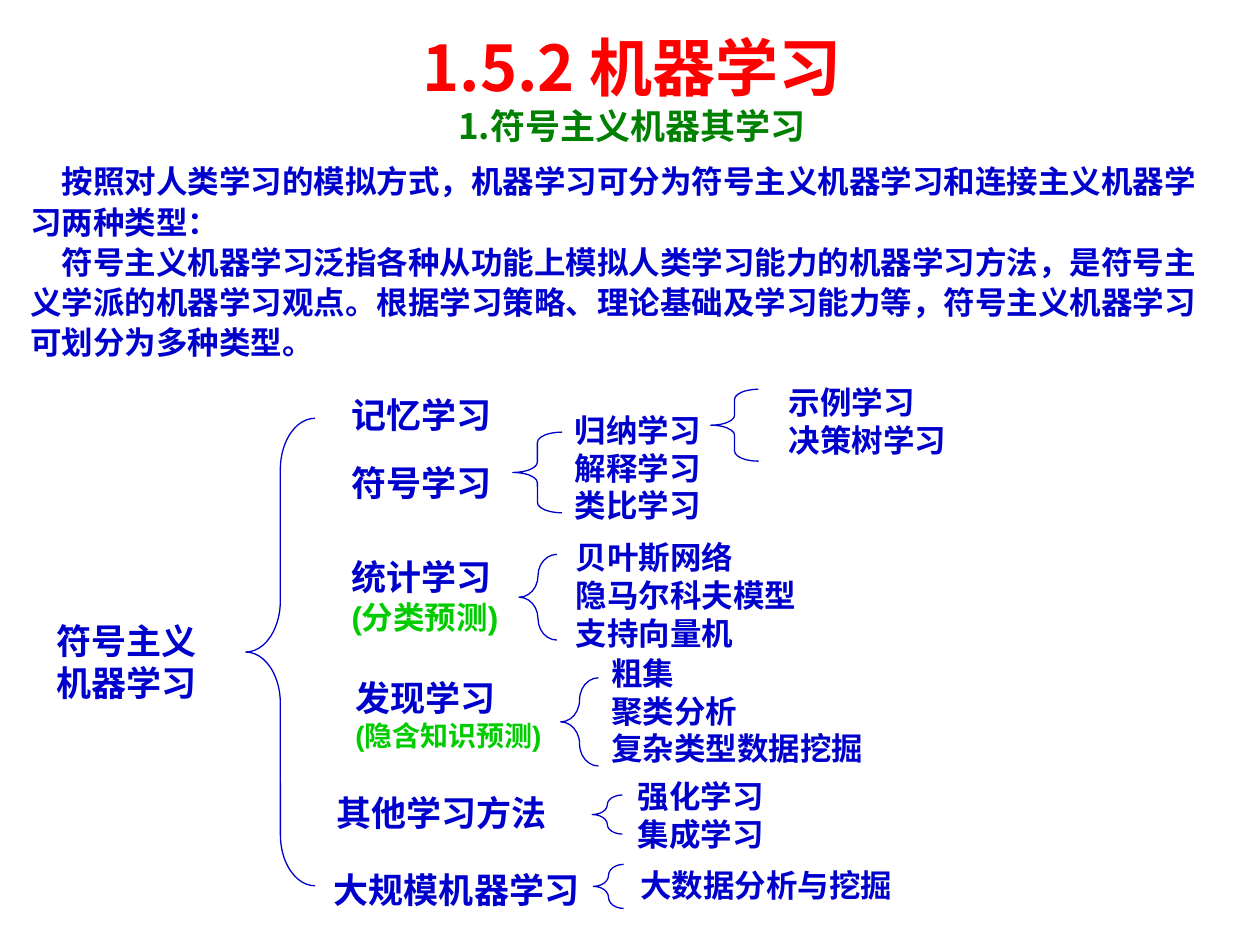
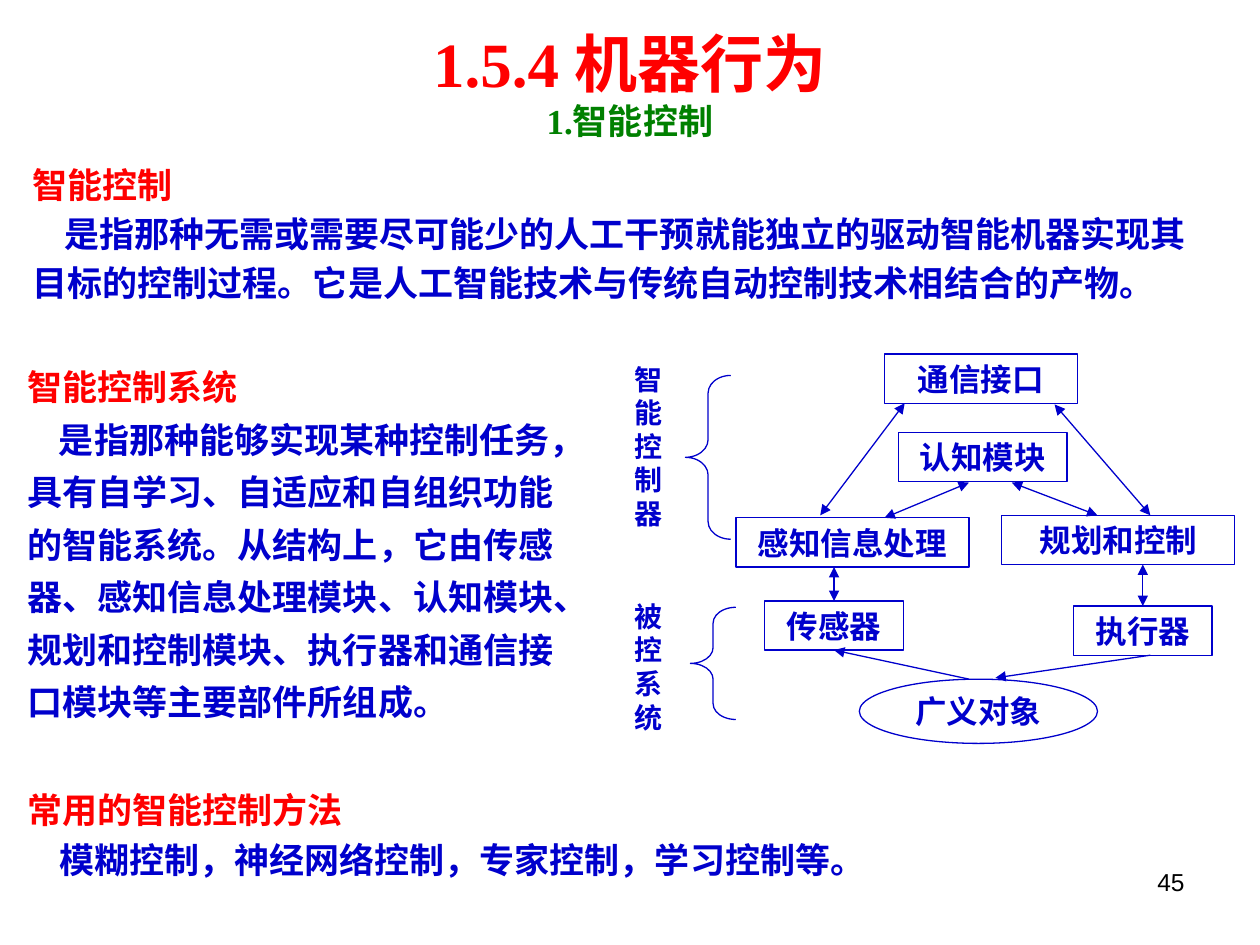
import pptx
import pptx.dml.color
import pptx.enum.shapes
import pptx.enum.text
import pptx.oxml
import pptx.oxml.ns
import pptx.util
from pptx.util import Inches

COLORS = {
    "blue": "0000CC",
    "red": "FF0000",
    "green": "008000",
    "lime": "00CC00",
    "black": "000000",
    "white": "FFFFFF",
}
CJK = "Noto Sans CJK SC"
ARIAL = "Arial"
TIMES = "Times New Roman"
SHAPE = pptx.enum.shapes.MSO_SHAPE
ALIGN = pptx.enum.text.PP_ALIGN
ANCHOR = pptx.enum.text.MSO_ANCHOR
LINE_WIDTH = pptx.util.Pt(0.75)
FIRST_INDENT = 0.25


def rgb(name):
    return pptx.dml.color.RGBColor.from_string(COLORS[name])


def sub_element(parent, tag, **attributes):
    child = pptx.oxml.ns.qn(tag)
    element = parent.makeelement(child, attributes)
    parent.append(element)


def write(tf, lines, font, align=ALIGN.LEFT, leading=None):
    for i, (text, size, color) in enumerate(lines):
        p = tf.paragraphs[0] if i == 0 else tf.add_paragraph()
        p.text = text
        p.alignment = align
        p.line_spacing = pptx.util.Pt(leading or size * 1.2)
        for r in p.runs:
            r.font.name = font
            r.font.size = pptx.util.Pt(size)
            r.font.bold = True
            r.font.color.rgb = rgb(color)
            sub_element(r.font._element, "a:ea", typeface=CJK)


def add_text(s, box, lines, font, align=ALIGN.LEFT, leading=None):
    tf = s.shapes.add_textbox(*map(Inches, box)).text_frame
    tf.word_wrap = True
    write(tf, lines, font, align, leading)
    return tf


def add_header(s, box, title, subtitle, font):
    lines = [(title, 36, "red"), (subtitle, 20, "green")]
    return add_text(s, box, lines, font, ALIGN.CENTER)


def add_body(s, box, paragraphs, size, font, leading, heading=None):
    lines = [(heading, 20, "red")] if heading else []
    lines += [(text, size, "blue") for text in paragraphs]
    tf = add_text(s, box, lines, font, leading=leading)
    for p in tf.paragraphs[1 if heading else 0:]:
        p._p.get_or_add_pPr().set("indent", str(Inches(FIRST_INDENT)))


def add_label(s, box, lines, font):
    tf = add_text(s, box, lines, font)
    tf.margin_left = tf.margin_right = Inches(0.02)
    tf.margin_top = tf.margin_bottom = Inches(0.01)


def add_branch(s, box, name, note=None, note_size=18):
    lines = [(name, 20, "blue")]
    if note:
        lines.append((note, note_size, "lime"))
    add_label(s, box, lines, ARIAL)


def add_leaves(s, box, names):
    add_label(s, box, [(name, 18, "blue") for name in names], CJK)


def add_brace(s, box, curve):
    sp = s.shapes.add_shape(SHAPE.LEFT_BRACE, *map(Inches, box))
    sp.shadow.inherit = False
    sp.adjustments[0] = curve
    sp.adjustments[1] = 0.5
    sp.fill.background()
    sp.line.color.rgb = rgb("blue")
    sp.line.width = LINE_WIDTH


def add_node(s, box, names, size=18, kind=SHAPE.RECTANGLE, outlined=True):
    sp = s.shapes.add_shape(kind, *map(Inches, box))
    sp.shadow.inherit = False
    sp.fill.solid()
    sp.fill.fore_color.rgb = rgb("white")
    if outlined:
        sp.line.color.rgb = rgb("blue")
        sp.line.width = LINE_WIDTH
    else:
        sp.line.fill.background()
    tf = sp.text_frame
    tf.word_wrap = False
    tf.vertical_anchor = ANCHOR.MIDDLE
    write(tf, [(name, size, "blue") for name in names], ARIAL, ALIGN.CENTER)
    return sp


def add_arrow(s, start, end, both=True):
    c = s.shapes.add_connector(
        pptx.enum.shapes.MSO_CONNECTOR.STRAIGHT, *map(Inches, start + end))
    c.line.color.rgb = rgb("blue")
    c.line.width = LINE_WIDTH
    ln = c.line._get_or_add_ln()
    if both:
        sub_element(ln, "a:headEnd", type="triangle")
    sub_element(ln, "a:tailEnd", type="triangle")
    sub_element(c._element.spPr, "a:effectLst")
    return c


def add_machine_learning(prs):
    s = prs.slides.add_slide(prs.slide_layouts[6])
    add_body(s, (0.14, 1.22, 9.49, 1.68), [
        "按照对人类学习的模拟方式，机器学习可分为符号主义机器学习和连接主义机器学习两种类型：",
        "符号主义机器学习泛指各种从功能上模拟人类学习能力的机器学习方法，是符号主义学派的机器学习观点。"
        "根据学习策略、理论基础及学习能力等，符号主义机器学习可划分为多种类型。",
    ], 18, CJK, 23)
    add_header(s, (0.21, 0.18, 9.61, 1.04), "1.5.2 机器学习", "1.符号主义机器其学习", CJK)

    add_label(s, (0.43, 4.91, 1.49, 0.75),
              [("符号主义", 20, "blue"), ("机器学习", 20, "blue")], ARIAL)
    for branch in [
        ((2.77, 3.11, 1.58, 0.39), "记忆学习"),
        ((2.77, 3.65, 1.58, 0.39), "符号学习"),
        ((2.77, 4.4, 1.7, 0.71), "统计学习", "(分类预测)"),
        ((2.8, 5.36, 1.9, 0.68), "发现学习", "(隐含知识预测)", 16),
        ((2.65, 6.27, 1.94, 0.39), "其他学习方法"),
        ((2.63, 6.88, 2.1, 0.39), "大规模机器学习"),
    ]:
        add_branch(s, *branch)
    for box, names in [
        ((4.54, 3.25, 1.51, 0.35), ["归纳学习"]),
        ((4.54, 3.55, 1.7, 0.68), ["解释学习", "类比学习"]),
        ((6.24, 3.03, 2, 0.68), ["示例学习", "决策树学习"]),
        ((4.55, 4.26, 2.59, 1), ["贝叶斯网络", "隐马尔科夫模型", "支持向量机"]),
        ((4.83, 5.18, 2.42, 1), ["粗集", "聚类分析", "复杂类型数据挖掘"]),
        ((5.04, 6.16, 1.58, 0.68), ["强化学习", "集成学习"]),
        ((5.06, 6.86, 3.62, 0.35), ["大数据分析与挖掘"]),
    ]:
        add_leaves(s, box, names)
    for box, curve in [
        ((1.95, 3.32, 0.55, 3.71), 0.74),
        ((4.07, 3.43, 0.39, 0.64), 0.21),
        ((5.64, 3.09, 0.38, 0.57), 0.21),
        ((4.12, 4.4, 0.3, 0.68), 0.64),
        ((4.45, 5.38, 0.3, 0.7), 0.66),
        ((4.7, 6.31, 0.24, 0.31), 0.36),
        ((4.71, 6.86, 0.24, 0.35), 0.41),
    ]:
        add_brace(s, box, curve)


def add_control_diagram(s):
    add_node(s, (7.02, 2.81, 1.53, 0.39), ["通信接口"])
    add_node(s, (7.13, 3.43, 1.34, 0.39), ["认知模块"])
    add_node(s, (5.84, 4.11, 1.85, 0.39), ["感知信息处理"])
    add_node(s, (7.95, 4.09, 1.85, 0.39), ["规划和控制"])
    sensor = add_node(s, (6.07, 4.77, 1.1, 0.39), ["传感器"])
    actuator = add_node(s, (8.52, 4.81, 1.1, 0.39), ["执行器"])
    add_node(s, (6.82, 5.39, 1.89, 0.51), ["广义对象"], kind=SHAPE.OVAL)

    for start, end in [
        ((7.18, 3.2), (6.51, 4.09)),
        ((7.69, 3.83), (7.02, 4.11)),
        ((8.37, 3.21), (9.13, 4.09)),
        ((8.03, 3.83), (8.71, 4.09)),
    ]:
        add_arrow(s, start, end)
    add_arrow(s, (6.62, 4.5), (6.62, 4.77)).end_connect(sensor, 0)
    add_arrow(s, (9.07, 4.48), (9.07, 4.81)).end_connect(actuator, 0)
    add_arrow(s, (7.69, 5.39), (6.62, 5.16), both=False).end_connect(sensor, 2)
    add_arrow(s, (9.13, 5.2), (7.9, 5.38), both=False)

    for top, name in [(2.77, "智能控制器"), (4.52, "被控系统")]:
        add_node(s, (4.85, top, 0.59, 1.54), name, size=16, outlined=False)
    add_brace(s, (5.44, 2.98, 0.36, 1.3), 0.39)
    add_brace(s, (5.48, 4.82, 0.36, 0.89), 0.35)


def add_machine_behavior(prs):
    s = prs.slides.add_slide(prs.slide_layouts[6])
    tf = add_text(s, (7.17, 6.83, 2.33, 0.52), [("45", 14, "black")], ARIAL, ALIGN.RIGHT)
    tf.paragraphs[0].runs[0].font.bold = False
    tf = add_header(s, (0.33, 0.09, 9.34, 1.14), "1.5.4 机器行为", "1.智能控制", TIMES)
    tf.vertical_anchor = ANCHOR.MIDDLE
    for box, leading, heading, text in [
        ((0.16, 1.19, 9.61, 1.24), 28, "智能控制",
         "是指那种无需或需要尽可能少的人工干预就能独立的驱动智能机器实现其目标的控制过程。"
         "它是人工智能技术与传统自动控制技术相结合的产物。"),
        ((0.12, 2.77, 4.53, 3.05), 30, "智能控制系统",
         "是指那种能够实现某种控制任务，具有自学习、自适应和自组织功能的智能系统。"
         "从结构上，它由传感器、感知信息处理模块、认知模块、规划和控制模块、"
         "执行器和通信接口模块等主要部件所组成。"),
        ((0.12, 6.15, 9.69, 0.88), 28.5, "常用的智能控制方法",
         "模糊控制，神经网络控制，专家控制，学习控制等。"),
    ]:
        add_body(s, box, [text], 20, TIMES, leading, heading)
    add_control_diagram(s)


def main():
    prs = pptx.Presentation()
    prs.slide_width = Inches(10)
    prs.slide_height = Inches(7.5)
    add_machine_learning(prs)
    add_machine_behavior(prs)
    prs.save("out.pptx")


if __name__ == "__main__":
    main()
